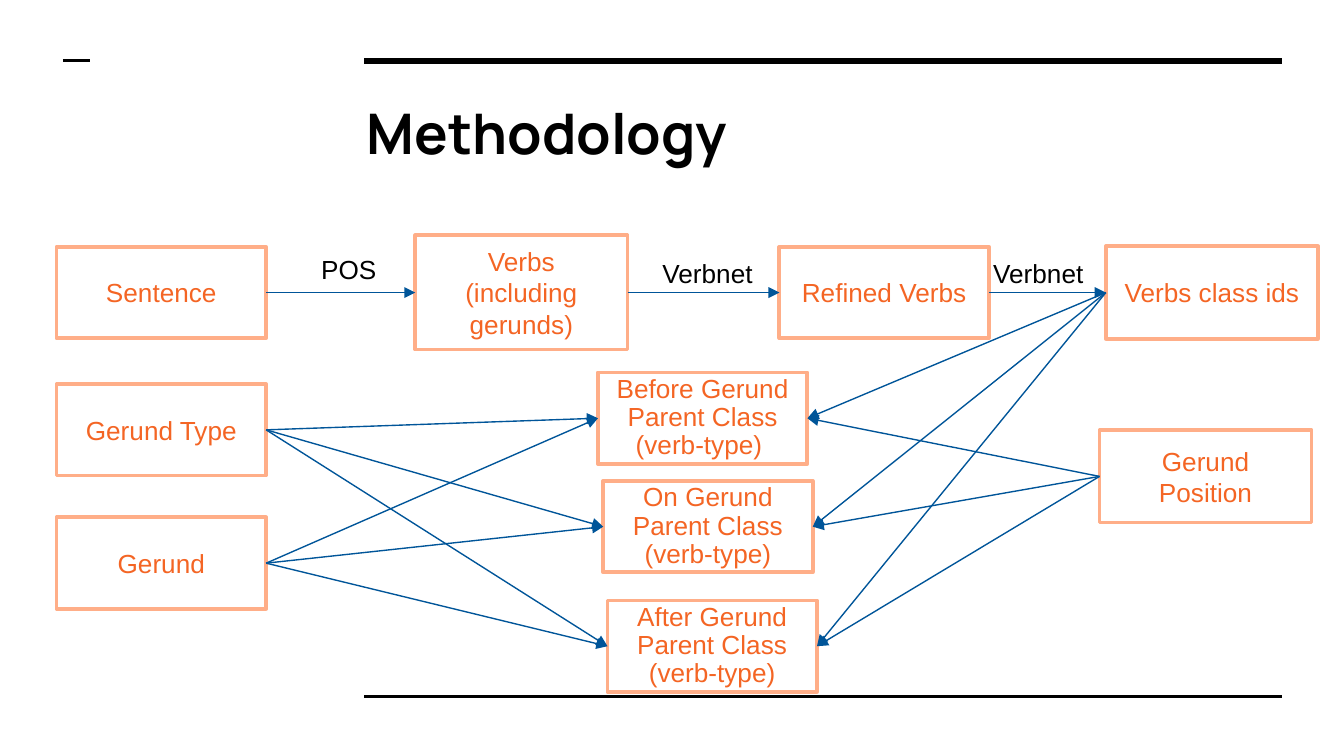
from dataclasses import dataclass

from lxml import etree
from pptx import Presentation
from pptx.dml.color import RGBColor
from pptx.enum import shapes, text
from pptx.oxml import ns
from pptx.util import Cm, Pt

LEFT_SIDE, RIGHT_SIDE = 1, 3


@dataclass(frozen=True)
class Theme:
    ink: RGBColor = RGBColor(0x00, 0x00, 0x00)
    paper: RGBColor = RGBColor(0xFF, 0xFF, 0xFF)
    border: RGBColor = RGBColor(0xFF, 0xAE, 0x88)
    accent: RGBColor = RGBColor(0xF4, 0x65, 0x24)
    arrow: RGBColor = RGBColor(0x00, 0x55, 0x99)
    heading_font: str = "Manrope"
    body_font: str = "Arial"
    heading_size: Pt = Pt(30)
    body_size: Pt = Pt(14)
    border_width: Pt = Pt(2)
    arrow_width: Pt = Pt(0.75)
    tight_spacing: float = 0.9


THEME = Theme()


def add_run(paragraph, content, color, font=THEME.body_font, size=THEME.body_size, bold=False):
    run = paragraph.add_run()
    run.text = content
    run.font.name, run.font.size, run.font.bold = font, size, bold
    run.font.color.rgb = color


def add_line(slide, start, end, color, width):
    line = slide.shapes.add_connector(
        shapes.MSO_CONNECTOR.STRAIGHT, *(Cm(value) for value in (*start, *end))
    )
    line.line.color.rgb = color
    line.line.width = width
    etree.SubElement(line._element.spPr, ns.qn("a:effectLst"))
    return line


def add_arrow(slide, source, target, source_side=RIGHT_SIDE, target_side=LEFT_SIDE):
    arrow = add_line(slide, (0, 0), (1, 1), THEME.arrow, THEME.arrow_width)
    arrow.begin_connect(source, source_side)
    arrow.end_connect(target, target_side)
    outline = arrow.line._get_or_add_ln()
    etree.SubElement(outline, ns.qn("a:tailEnd"), type="triangle")


def add_node(slide, box, *lines):
    node = slide.shapes.add_shape(
        shapes.MSO_SHAPE.RECTANGLE, *(Cm(value) for value in box)
    )
    node.shadow.inherit = False
    node.fill.solid()
    node.fill.fore_color.rgb = THEME.paper
    node.line.color.rgb = THEME.border
    node.line.width = THEME.border_width
    frame = node.text_frame
    frame.word_wrap = True
    frame.vertical_anchor = text.MSO_ANCHOR.MIDDLE
    frame.margin_top = frame.margin_bottom = Cm(0)
    for index, content in enumerate(lines):
        paragraph = frame.add_paragraph() if index else frame.paragraphs[0]
        paragraph.alignment = text.PP_ALIGN.CENTER
        if len(lines) > 1:
            paragraph.line_spacing = THEME.tight_spacing
        add_run(paragraph, content, THEME.accent)
    return node


def add_label(slide, box, content):
    label = slide.shapes.add_textbox(*(Cm(value) for value in box))
    label.text_frame.word_wrap = False
    label.text_frame.auto_size = text.MSO_AUTO_SIZE.SHAPE_TO_FIT_TEXT
    add_run(label.text_frame.paragraphs[0], content, THEME.ink)


def add_rules(slide, box):
    left, top, width, height = box
    column, right, bottom = left + 5.69, left + width, top + height
    add_line(slide, (column, top), (right, top), THEME.ink, Pt(3))
    add_line(slide, (column, bottom), (right, bottom), THEME.ink, Pt(1.5))
    add_line(slide, (left, top), (left + 0.51, top), THEME.ink, Pt(1.5))


def add_title(slide, box, content):
    title = slide.shapes.title
    title.left, title.top, title.width, title.height = (Cm(value) for value in box)
    frame = title.text_frame
    frame.auto_size = text.MSO_AUTO_SIZE.NONE
    frame.word_wrap = True
    frame.vertical_anchor = text.MSO_ANCHOR.MIDDLE
    frame.margin_left = frame.margin_right = Cm(0.25)
    frame.margin_top = frame.margin_bottom = Cm(0.25)
    paragraph = frame.paragraphs[0]
    paragraph.alignment = text.PP_ALIGN.LEFT
    add_run(paragraph, content, THEME.ink, THEME.heading_font, THEME.heading_size, True)


def add_pipeline(slide, box):
    left, top, width, height = box
    middle = top + height / 2
    steps = [
        ("Sentence", 0, 3.96, 1.73),
        ("Verbs (including gerunds)", 6.78, 4.01, 2.16),
        ("Refined Verbs", 13.66, 3.96, 1.73),
        ("Verbs class ids", width - 4.01, 4.01, 1.75),
    ]
    nodes = [
        add_node(slide, (left + x, middle - tall / 2, wide, tall), name)
        for name, x, wide, tall in steps
    ]
    for source, target in zip(nodes, nodes[1:]):
        add_arrow(slide, source, target)
    for content, x, y, wide in [
        ("POS", 4.75, 0.22, 1.57),
        ("Verbnet", 11.2, 0.3, 2.26),
        ("Verbnet", 17.45, 0.3, 2.26),
    ]:
        add_label(slide, (left + x, top + y, wide, 0.86), content)
    return nodes[-1]


def add_class_mapping(slide, box, class_ids):
    left, top, width, height = box
    wide, tall = 3.96, 1.73
    inputs = [
        add_node(slide, (left, top + y, wide, tall), name)
        for name, y in [("Gerund Type", 0.22), ("Gerund", 2.74)]
    ]
    position = add_node(
        slide, (left + width - 4.01, top + 1.09, 4.01, 1.75), "Gerund Position"
    )
    parents = [
        add_node(slide, (left + x, top + y, wide, tall),
                 f"{moment} Gerund", "Parent Class", "(verb-type)" + ending)
        for moment, x, y, ending in [
            ("Before", 10.23, 0, " "),
            ("On", 10.33, 2.05, ""),
            ("After", 10.41, height - tall, ""),
        ]
    ]
    for parent in parents:
        for source in inputs:
            add_arrow(slide, source, parent)
        for source in (class_ids, position):
            add_arrow(slide, source, parent, LEFT_SIDE, RIGHT_SIDE)


def main():
    presentation = Presentation()
    presentation.slide_width, presentation.slide_height = Cm(25.4), Cm(14.29)
    slide = presentation.slides.add_slide(presentation.slide_layouts[5])
    slide.background.fill.solid()
    slide.background.fill.fore_color.rgb = THEME.paper
    add_rules(slide, (1.19, 1.15, 23.04, 12.01))
    add_title(slide, (6.68, 1.62, 17.55, 1.75), "Methodology")
    class_ids = add_pipeline(slide, (1.07, 4.45, 23.84, 2.16))
    add_class_mapping(slide, (1.07, 7.04, 23.72, 6.04), class_ids)
    presentation.save("out.pptx")


if __name__ == "__main__":
    main()
